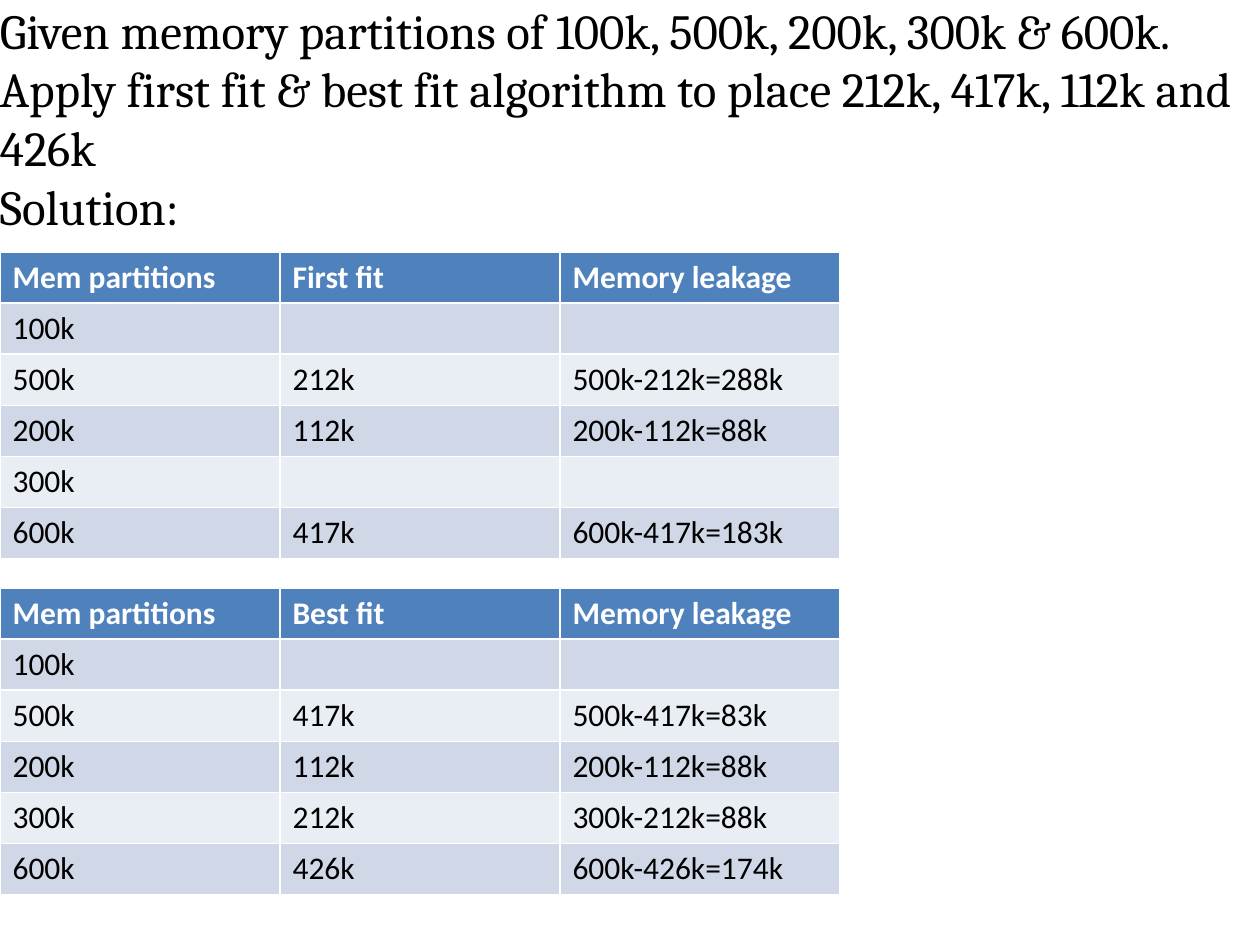
from pptx import Presentation as Deck
from pptx.dml.color import RGBColor as Color
from pptx.util import Pt

# Content: partition and the process placed in it, in k
TASK = [
    "Given memory partitions of 100k, 500k, 200k, 300k & 600k. "
    "Apply first fit & best fit algorithm to place 212k, 417k, 112k and 426k",
    "Solution:",
]
PARTS = [100, 500, 200, 300, 600]
FITS = [
    ("First fit", {500: 212, 200: 112, 600: 417}),
    ("Best fit", {500: 417, 200: 112, 300: 212, 600: 426}),
]

# Theme: colours and type
THEME = {
    "task": {"name": "Cambria", "size": Pt(28), "bold": False, "color": "000000"},
    "head": {"name": "Calibri", "size": Pt(18), "bold": True, "color": "FFFFFF"},
    "body": {"name": "Calibri", "size": Pt(18), "bold": False, "color": "000000"},
    "top": "4F81BD",
    "bands": ["E9EDF4", "D0D8E8"],
}

# Layout, in points
WIDE, HIGH = 720, 540
TASK_H = 170
COL_W, ROW_H = 160, 29.2
TOP, STEP = 144, 192


def write(para, text, look):
    run = para.add_run()
    run.text = text
    for key, val in look.items():
        if key == "color":
            run.font.color.rgb = Color.from_string(val)
        else:
            setattr(run.font, key, val)


def get_rows(title, fit):
    rows = [("Mem partitions", title, "Memory leakage")]
    for part in PARTS:
        job = fit.get(part)
        used = (f"{job}k", f"{part}k-{job}k={part - job}k") if job else ("", "")
        rows.append((f"{part}k", *used))
    return rows


def add_task(slide):
    box = slide.shapes.add_textbox(0, 0, Pt(WIDE), Pt(TASK_H))
    frame = box.text_frame
    frame.word_wrap = True
    for side in ("left", "top", "right", "bottom"):
        setattr(frame, f"margin_{side}", 0)
    for i, line in enumerate(TASK):
        para = frame.add_paragraph() if i else frame.paragraphs[0]
        write(para, line, THEME["task"])


def add_grid(slide, rows, top):
    count, cols = len(rows), len(rows[0])
    grid = slide.shapes.add_table(
        count, cols, 0, Pt(top), Pt(COL_W * cols), Pt(ROW_H * count)
    ).table
    for i, row in enumerate(rows):
        fill = THEME["bands"][i % 2] if i else THEME["top"]
        look = THEME["body" if i else "head"]
        for j, text in enumerate(row):
            cell = grid.cell(i, j)
            cell.fill.solid()
            cell.fill.fore_color.rgb = Color.from_string(fill)
            if text:
                write(cell.text_frame.paragraphs[0], text, look)


def main():
    deck = Deck()
    deck.slide_width, deck.slide_height = Pt(WIDE), Pt(HIGH)
    slide = deck.slides.add_slide(deck.slide_layouts[6])

    # Task above, then one table per algorithm
    add_task(slide)
    for i, (title, fit) in enumerate(FITS):
        add_grid(slide, get_rows(title, fit), TOP + i * STEP)
    deck.save("out.pptx")


if __name__ == "__main__":
    main()
